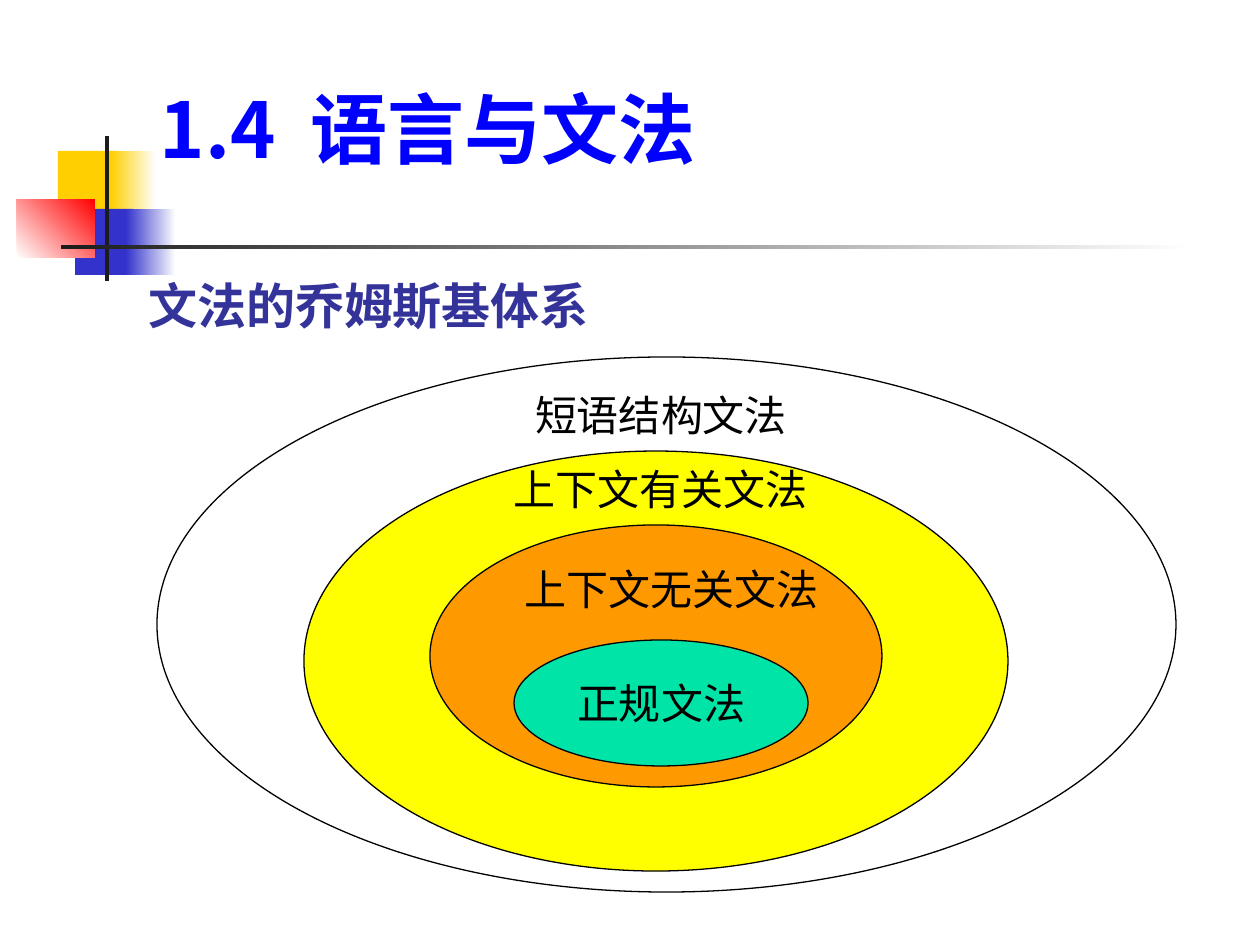
from typing import NamedTuple

from lxml import etree
from pptx import Presentation
from pptx import util as u
from pptx.dml import color as dml
from pptx.enum import shapes, text
from pptx.oxml import ns

PX_PER_INCH = 126
COLORS = {
    "white": "FFFFFF", "black": "000000", "ink": "1C1C1C",
    "gold": "FFCF01", "blue": "3333CC", "red": "FF0000",
    "title": "0000FF", "subtitle": "333399",
    "yellow": "FFFF00", "orange": "FF9900", "green": "00E4A8",
}
CJK_FONT = "Noto Sans CJK SC"


class Area(NamedTuple):
    left: int
    top: int
    width: int
    height: int


class Block(NamedTuple):
    """A decorative rectangle; with an end colour it is a gradient."""
    area: Area
    start: str
    end: str = ""
    angle: int = 0


class Ring(NamedTuple):
    area: Area
    fill: str


class Label(NamedTuple):
    area: Area
    words: str


class Style(NamedTuple):
    size: int
    font: str
    color: str
    bold: bool = False


TITLE = Style(44, CJK_FONT, "title", True)
SUBTITLE = Style(28, "Lato", "subtitle", True)
BODY = Style(24, "Times New Roman", "black")

BLOCKS = [
    Block(Area(58, 151, 60, 66), "gold"),
    Block(Area(111, 151, 45, 66), "gold", "white"),
    Block(Area(75, 209, 58, 66), "blue"),
    Block(Area(126, 209, 50, 66), "blue", "white"),
    Block(Area(17, 199, 78, 59), "white", "red", 45),
    Block(Area(105, 136, 4, 145), "ink"),
    Block(Area(61, 245, 1134, 4), "ink", "white"),
]
RINGS = [
    Ring(Area(157, 357, 1019, 535), "white"),
    Ring(Area(304, 451, 704, 420), "yellow"),
    Ring(Area(430, 525, 452, 262), "orange"),
    Ring(Area(514, 640, 294, 126), "green"),
]
CORE_WORDS = "正规文法"
LABELS = [
    Label(Area(504, 557, 336, 63), "上下文无关文法"),
    Label(Area(493, 462, 336, 53), "上下文有关文法"),
    Label(Area(493, 388, 336, 53), "短语结构文法"),
]


def px(length: int) -> u.Emu:
    return u.Emu(round(length * 914400 / PX_PER_INCH))


def emu(area: Area) -> list[u.Emu]:
    return [px(length) for length in area]


def rgb(name: str) -> dml.RGBColor:
    return dml.RGBColor.from_string(COLORS[name])


def add_span(para, words: str, style: Style, spacing: int = 0) -> None:
    """Add one run; spacing is extra letter spacing in points."""
    span = para.add_run()
    span.text = words
    span.font.size = u.Pt(style.size)
    span.font.name = style.font
    span.font.bold = style.bold
    span.font.color.rgb = rgb(style.color)
    properties = span.font._element
    east_asian = etree.Element(ns.qn("a:ea"), typeface=CJK_FONT)
    properties.find(ns.qn("a:latin")).addnext(east_asian)
    if spacing:
        properties.set("spc", str(spacing * 100))


def write(box, words: str, style: Style, wrap: bool, align) -> None:
    frame = box.text_frame
    frame.word_wrap = wrap
    frame.vertical_anchor = text.MSO_ANCHOR.MIDDLE
    para = frame.paragraphs[0]
    para.alignment = align
    add_span(para, words, style)


def add_title(page) -> None:
    box = page.shapes.title
    box.left, box.top, box.width, box.height = emu(Area(147, 73, 1074, 107))
    frame = box.text_frame
    frame.auto_size = text.MSO_AUTO_SIZE.NONE
    frame.vertical_anchor = text.MSO_ANCHOR.BOTTOM
    para = frame.paragraphs[0]
    para.alignment = text.PP_ALIGN.LEFT
    add_span(para, "1.4", TITLE)
    add_span(para, " ", TITLE, spacing=10)
    add_span(para, "语言与文法", TITLE)


def add_block(page, block: Block) -> None:
    box = page.shapes.add_shape(shapes.MSO_SHAPE.RECTANGLE, *emu(block.area))
    box.shadow.inherit = False
    box.line.fill.background()
    if not block.end:
        box.fill.solid()
        box.fill.fore_color.rgb = rgb(block.start)
        return
    box.fill.gradient()
    box.fill.gradient_angle = block.angle
    for stop, name in zip(box.fill.gradient_stops, (block.start, block.end)):
        stop.color.rgb = rgb(name)


def add_ring(page, ring: Ring):
    oval = page.shapes.add_shape(shapes.MSO_SHAPE.OVAL, *emu(ring.area))
    oval.shadow.inherit = False
    oval.fill.solid()
    oval.fill.fore_color.rgb = rgb(ring.fill)
    oval.line.color.rgb = rgb("black")
    oval.line.width = u.Pt(0.75)
    return oval


def main() -> None:
    deck = Presentation()
    deck.slide_width, deck.slide_height = px(1260), px(945)
    page = deck.slides.add_slide(deck.slide_layouts.get_by_name("Title Only"))

    for block in BLOCKS:
        add_block(page, block)
    add_title(page)

    ovals = [add_ring(page, ring) for ring in RINGS]
    write(ovals[-1], CORE_WORDS, BODY, False, text.PP_ALIGN.CENTER)

    subtitle = page.shapes.add_textbox(*emu(Area(136, 252, 514, 105)))
    write(subtitle, "文法的乔姆斯基体系", SUBTITLE, True, text.PP_ALIGN.LEFT)
    for label in LABELS:
        box = page.shapes.add_textbox(*emu(label.area))
        write(box, label.words, BODY, False, text.PP_ALIGN.CENTER)

    deck.save("out.pptx")


if __name__ == "__main__":
    main()
